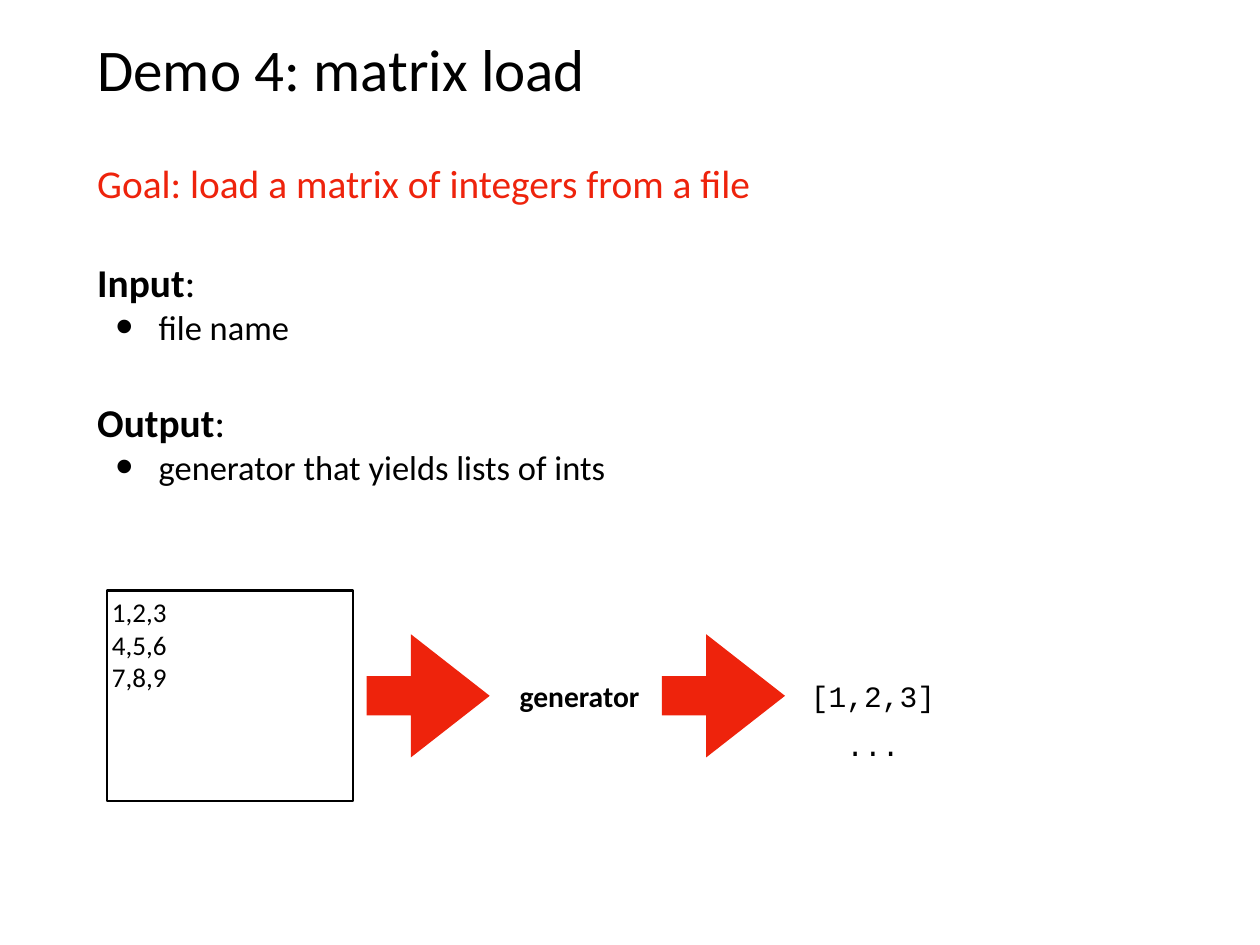
from lxml.etree import SubElement
from pptx import Presentation
from pptx.dml.color import RGBColor
from pptx.enum.shapes import MSO_SHAPE
from pptx.enum.text import MSO_ANCHOR, MSO_AUTO_SIZE, PP_ALIGN
from pptx.oxml.ns import qn
from pptx.util import Pt

COLORS = {"ink": "000000", "accent": "EE230C", "paper": "FFFFFF"}
HEADING = "Demo 4: matrix load"
GOAL = "Goal: load a matrix of integers from a file"
SECTIONS = [
    ("Input", "file name"),
    ("Output", "generator that yields lists of ints"),
]
FILE_ROWS = ["1,2,3", "4,5,6", "7,8,9"]
FLOW_LABELS = [
    ("generator", 471, 565.5, 130, "Calibri", True),
    ("[1,2,3]", 709.5, 565, 110, "Courier New", False),
    ("...", 709.5, 605, 52, "Courier New", False),
]
ARROW_LEFTS = [298, 538]
ARROW_SIZE = 100
LABEL_HEIGHT = 36
FILE_BOX = (87, 480, 200, 171)
FLOW_MIDDLE = FILE_BOX[1] + FILE_BOX[3] / 2


def color(name):
    return RGBColor.from_string(COLORS[name])


def points(*lengths):
    return [Pt(length) for length in lengths]


def place(shape, left, top, width, height):
    shape.left, shape.top, shape.width, shape.height = points(left, top, width, height)


def prepare(frame, anchor=MSO_ANCHOR.TOP, wrap=True):
    frame.auto_size = MSO_AUTO_SIZE.NONE
    frame.word_wrap = wrap
    frame.vertical_anchor = anchor
    frame.margin_left = frame.margin_right = Pt(4)
    frame.margin_top = frame.margin_bottom = Pt(4)


def write(frame, text, size=24, font="Calibri", ink="ink", bold=False, tail="",
          before=0, align=PP_ALIGN.LEFT, bullet=False):
    first = frame.paragraphs[0]
    paragraph = frame.add_paragraph() if first.runs else first
    properties = paragraph._p.get_or_add_pPr()
    properties.set("marL", str(Pt(50 if bullet else 0)))
    properties.set("indent", str(Pt(-35 if bullet else 0)))
    if bullet:
        SubElement(properties, qn("a:buSzPct"), val="145000")
        SubElement(properties, qn("a:buChar"), char="•")
    else:
        SubElement(properties, qn("a:buNone"))
    paragraph.alignment = align
    paragraph.space_before = Pt(before)
    for part, weight in ((text, bold), (tail, False)):
        if part:
            run = paragraph.add_run()
            run.text = part
            run.font.name = font
            run.font.size = Pt(size)
            run.font.bold = weight
            run.font.color.rgb = color(ink)


presentation = Presentation()
presentation.slide_width, presentation.slide_height = points(1024, 768)
slide = presentation.slides.add_slide(presentation.slide_layouts[1])

heading = slide.shapes.title
place(heading, 75, 20, 874, 71)
prepare(heading.text_frame, anchor=MSO_ANCHOR.MIDDLE)
write(heading.text_frame, HEADING, size=48)

outline = slide.placeholders[1]
place(outline, 75, 125.5, 908, 605)
prepare(outline.text_frame)
write(outline.text_frame, GOAL, size=32, ink="accent")
for section, item in SECTIONS:
    write(outline.text_frame, section, size=32, bold=True, tail=":", before=42)
    write(outline.text_frame, item, size=28, bullet=True)

file_box = slide.shapes.add_shape(MSO_SHAPE.RECTANGLE, *points(*FILE_BOX))
file_box.shadow.inherit = False
file_box.fill.solid()
file_box.fill.fore_color.rgb = color("paper")
file_box.line.color.rgb = color("ink")
file_box.line.width = Pt(2)
prepare(file_box.text_frame)
for row in FILE_ROWS:
    write(file_box.text_frame, row, size=22)

for left in ARROW_LEFTS:
    arrow = slide.shapes.add_shape(
        MSO_SHAPE.RIGHT_ARROW,
        *points(left, FLOW_MIDDLE - ARROW_SIZE / 2, ARROW_SIZE, ARROW_SIZE))
    arrow.shadow.inherit = False
    arrow.adjustments[0] = 0.32
    arrow.adjustments[1] = 0.64
    arrow.fill.solid()
    arrow.fill.fore_color.rgb = color("accent")
    arrow.line.fill.background()

for text, center, middle, width, font, bold in FLOW_LABELS:
    label = slide.shapes.add_textbox(
        *points(center - width / 2, middle - LABEL_HEIGHT / 2, width, LABEL_HEIGHT))
    prepare(label.text_frame, anchor=MSO_ANCHOR.MIDDLE, wrap=False)
    write(label.text_frame, text, font=font, bold=bold, align=PP_ALIGN.CENTER)

presentation.save("out.pptx")
